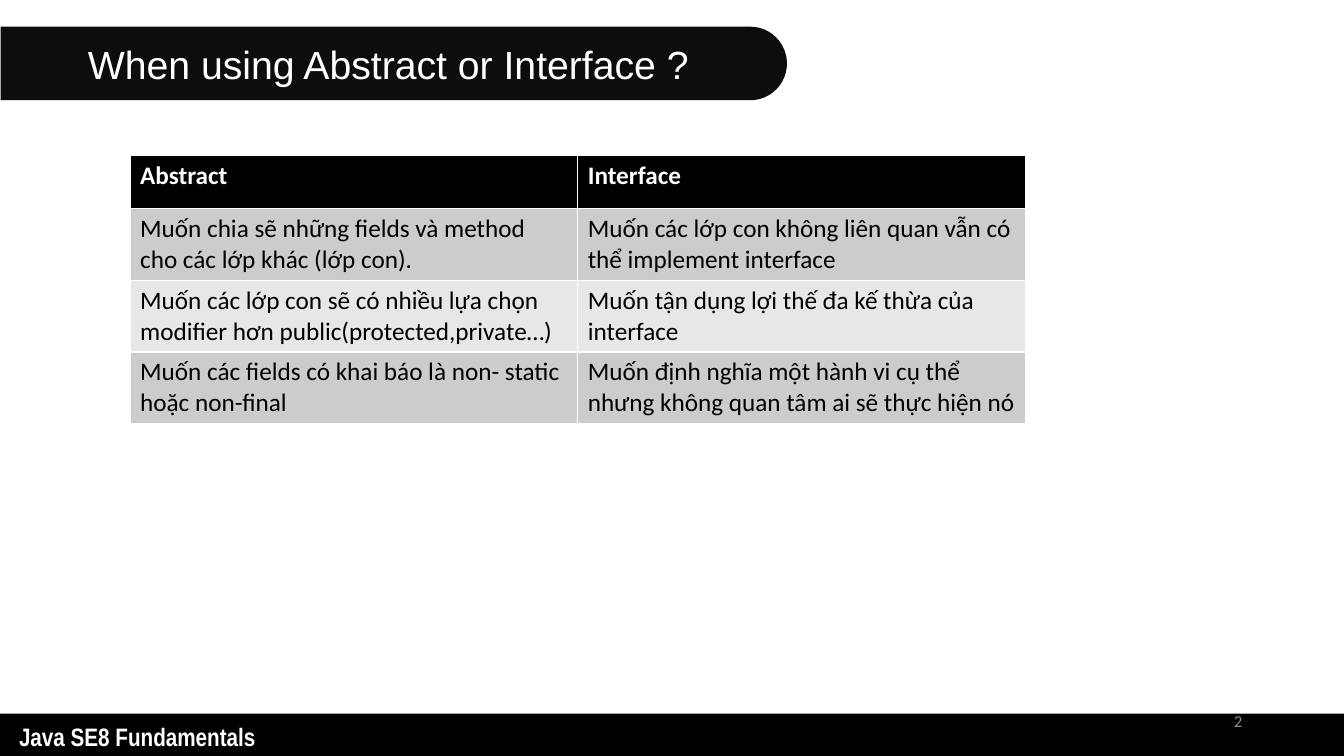
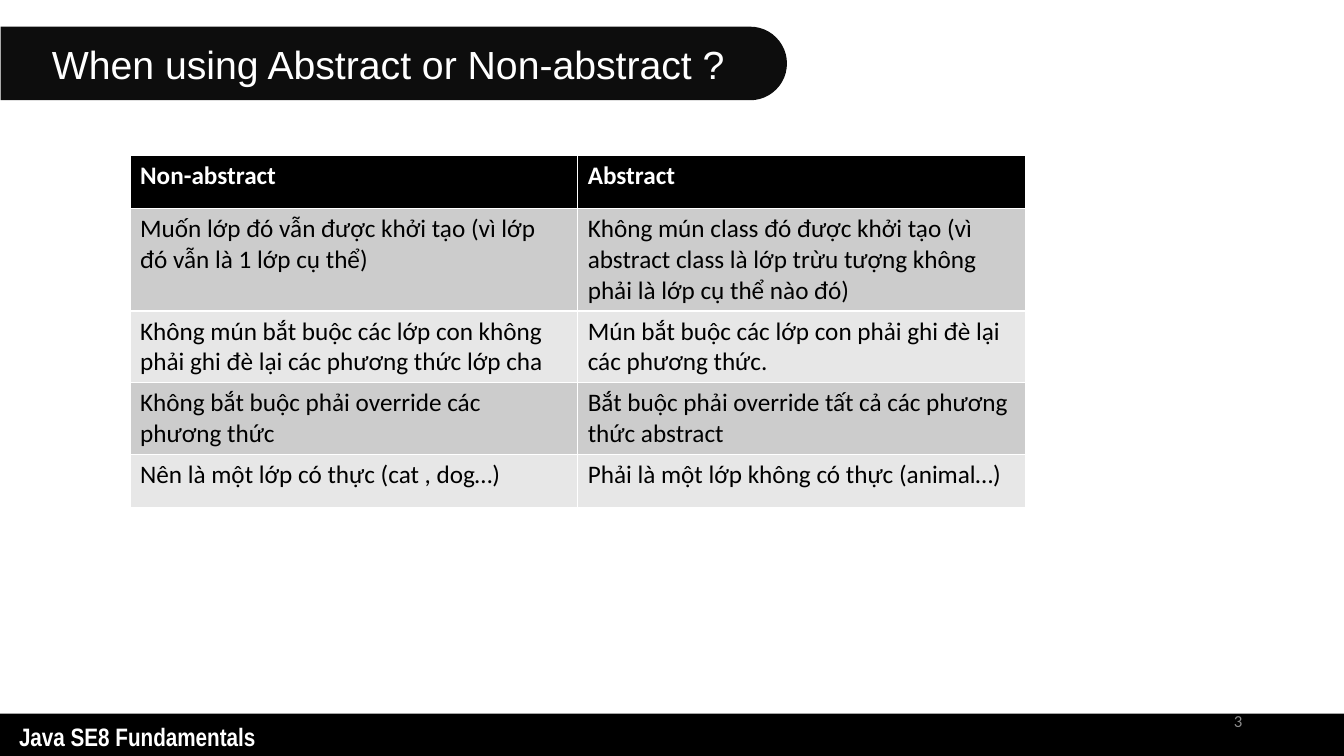
"""Build two slides that compare Java class kinds in tables."""
import pptx
import pptx.dml.color
import pptx.enum.shapes
import pptx.enum.text
import pptx.oxml
import pptx.oxml.ns
import pptx.util
from pptx.util import Inches

COLORS = {
    "white": "FFFFFF",
    "black": "000000",
    "tab": "0D0D0D",
    "number": "8C8C8C",
    "odd_row": "CCCCCC",
    "even_row": "E7E7E7",
}
SHAPES = pptx.enum.shapes.MSO_SHAPE
ALIGN = pptx.enum.text.PP_ALIGN
ANCHOR = pptx.enum.text.MSO_ANCHOR
FIRST_NUMBER = 2
FOOTER = "Java SE8 Fundamentals"
ROW_HEIGHT = 0.53
COLUMN_WIDTH = 4.44

SLIDES = [
    ("When using Abstract or Interface ?", [
        ("Abstract", "Interface"),
        ("Muốn chia sẽ những fields và method cho các lớp khác (lớp con).",
         "Muốn các lớp con không liên quan vẫn có thể implement interface"),
        ("Muốn các lớp con sẽ có nhiều lựa chọn modifier hơn public(protected,private…)",
         "Muốn tận dụng lợi thế đa kế thừa của interface"),
        ("Muốn các fields có khai báo là non- static hoặc non-final",
         "Muốn định nghĩa một hành vi cụ thể nhưng không quan tâm ai sẽ thực hiện nó"),
    ]),
    ("When using Abstract or Non-abstract ?", [
        ("Non-abstract", "Abstract"),
        ("Muốn lớp đó vẫn được khởi tạo (vì lớp đó vẫn là 1 lớp cụ thể)",
         "Không mún class đó được khởi tạo (vì abstract class là lớp trừu tượng không "
         "phải là lớp cụ thể nào đó)"),
        ("Không mún bắt buộc các lớp con không phải ghi đè lại các phương thức lớp cha",
         "Mún bắt buộc các lớp con phải ghi đè lại các phương thức."),
        ("Không bắt buộc phải override các phương thức",
         "Bắt buộc phải override tất cả các phương thức abstract"),
        ("Nên là một lớp có thực (cat , dog…)",
         "Phải là một lớp không có thực (animal…)"),
    ]),
]


def rgb(name):
    """Return the named colour."""
    return pptx.dml.color.RGBColor.from_string(COLORS[name])


def style(paragraph, font_name, size, color, bold=False, align=None):
    """Format a whole paragraph."""
    font = paragraph.font
    font.name = font_name
    font.size = pptx.util.Pt(size)
    font.bold = bold
    font.color.rgb = rgb(color)
    paragraph.alignment = align


def add_block(page, kind, left, top, width, height, color):
    """Add a plain filled shape."""
    block = page.shapes.add_shape(
        kind, Inches(left), Inches(top), Inches(width), Inches(height))
    block.shadow.inherit = False
    block.fill.solid()
    block.fill.fore_color.rgb = rgb(color)
    block.line.fill.background()
    return block


def add_title(page, text):
    """Put the title on a dark tab rounded at its right end."""
    tab = add_block(page, SHAPES.ROUND_2_SAME_RECTANGLE, 3.54, -3.27, 0.73, 7.8, "tab")
    tab.rotation = 90
    tab.adjustments[0] = 0.5
    title = page.shapes.title
    title.left, title.top = Inches(0), Inches(0.27)
    title.width, title.height = Inches(7.7), Inches(0.73)
    title.text_frame.text = text
    title.text_frame.vertical_anchor = ANCHOR.MIDDLE
    style(title.text_frame.paragraphs[0], "Arial", 28, "white", align=ALIGN.CENTER)
    tab._element.addnext(title._element)


def add_text_box(page, left, top, width, height):
    """Add an empty wrapping text box and return its text frame."""
    box = page.shapes.add_textbox(
        Inches(left), Inches(top), Inches(width), Inches(height))
    box.text_frame.word_wrap = True
    return box.text_frame


def add_footer(page, number):
    """Add the bottom band with course name and slide number field."""
    add_block(page, SHAPES.RECTANGLE, 0, 7.08, 13.33, 0.46, "black")
    course = add_text_box(page, 0.09, 7.11, 3.28, 0.4)
    course.text = FOOTER
    style(course.paragraphs[0], "Arial Narrow", 18, "white", bold=True)

    frame = add_text_box(page, 9.42, 6.95, 3, 0.4)
    frame.vertical_anchor = ANCHOR.MIDDLE
    paragraph = frame.paragraphs[0]
    style(paragraph, "Calibri", 12, "number", align=ALIGN.RIGHT)
    paragraph._p.append(pptx.oxml.parse_xml(
        f'<a:fld {pptx.oxml.ns.nsdecls("a")} type="slidenum" '
        'id="{B6F15528-21DE-4FAA-801E-634DDDAF4B2B}">'
        f'<a:rPr lang="en-US"/><a:t>{number}</a:t></a:fld>'))


def add_comparison(page, rows):
    """Add a two-column table with a black header and grey bands."""
    columns = len(rows[0])
    table = page.shapes.add_table(
        len(rows), columns, Inches(1.29), Inches(1.54),
        Inches(COLUMN_WIDTH * columns), Inches(ROW_HEIGHT * len(rows))).table
    for row_index, row in enumerate(rows):
        header = row_index == 0
        fill = "black" if header else "odd_row" if row_index % 2 else "even_row"
        for column_index, text in enumerate(row):
            cell = table.cell(row_index, column_index)
            cell.text = text
            cell.fill.solid()
            cell.fill.fore_color.rgb = rgb(fill)
            style(cell.text_frame.paragraphs[0], "Calibri", 18,
                  "white" if header else "black", bold=header)


def main():
    """Build and save the deck."""
    deck = pptx.Presentation()
    deck.slide_width, deck.slide_height = Inches(13.33), Inches(7.5)
    deck.element.set("firstSlideNum", str(FIRST_NUMBER))
    for number, (title, rows) in enumerate(SLIDES, FIRST_NUMBER):
        page = deck.slides.add_slide(deck.slide_layouts.get_by_name("Title Only"))
        add_footer(page, number)
        add_title(page, title)
        add_comparison(page, rows)
    deck.save("out.pptx")


main()
